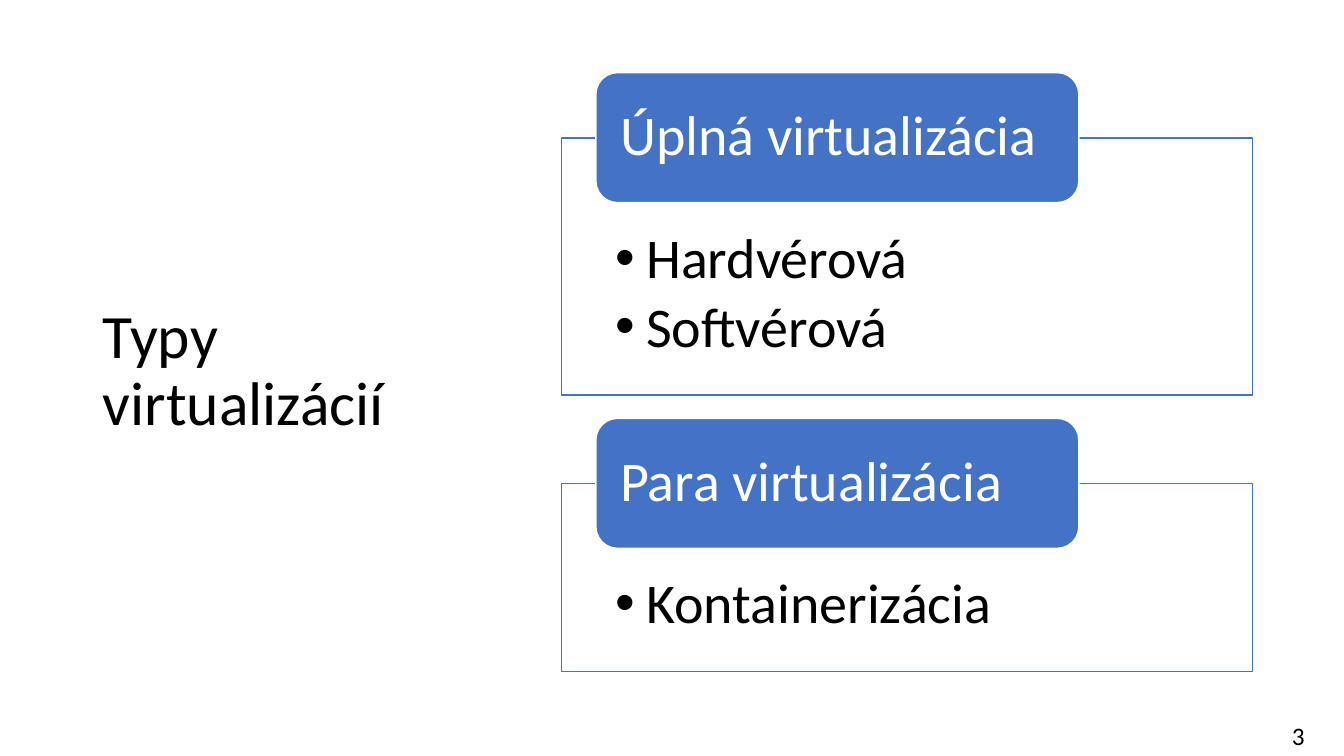
from lxml import etree
from pptx import Presentation
from pptx.dml.color import RGBColor
from pptx.enum.shapes import MSO_SHAPE
from pptx.enum.text import MSO_ANCHOR, MSO_AUTO_SIZE, PP_ALIGN
from pptx.oxml.ns import qn
from pptx.util import Pt

PX = 9144  # EMU, 100 px to the inch
RECT, ROUND = MSO_SHAPE.RECTANGLE, MSO_SHAPE.ROUNDED_RECTANGLE
TOP, MIDDLE = MSO_ANCHOR.TOP, MSO_ANCHOR.MIDDLE
LEFT, CENTER = PP_ALIGN.LEFT, PP_ALIGN.CENTER
NO_FIT = MSO_AUTO_SIZE.NONE
BLUE, WHITE, BLACK = "4472C4", "FFFFFF", "000000"
TITLE_ONLY = 5

# Top and height of each frame, its heading and its points
TYPES = [
    (137, 255, "Úplná virtualizácia", ["Hardvérová", "Softvérová"]),
    (480, 186, "Para virtualizácia", ["Kontainerizácia"]),
]


def color(code):
    return RGBColor.from_string(code)


def box(*sides):
    return [side * PX for side in sides]


def style(para, size, code, align=LEFT, spacing=0.9):
    para.alignment = align
    para.line_spacing = spacing
    font = para.font
    font.name, font.size = "Calibri", Pt(size)
    font.color.rgb = color(code)


def set_frame(frame, anchor, insets):
    frame.word_wrap = True
    frame.auto_size = NO_FIT
    frame.vertical_anchor = anchor
    (frame.margin_left, frame.margin_top,
     frame.margin_right, frame.margin_bottom) = box(*insets)


def add_bullet(para, indent):
    props = para._p.get_or_add_pPr()
    props.set("marL", str(indent * PX))
    props.set("indent", str(-indent * PX))
    font = etree.SubElement(props, qn("a:buFont"))
    font.set("typeface", "Arial")
    etree.SubElement(props, qn("a:buChar")).set("char", "•")


def add_panel(slide, kind, place, fill, line):
    panel = slide.shapes.add_shape(kind, *box(*place))
    panel.shadow.inherit = False
    panel.fill.solid()
    panel.fill.fore_color.rgb = color(fill)
    panel.line.color.rgb = color(line)
    panel.line.width = Pt(1)
    return panel


def fade(shape, percent):
    """Set the opacity of a solid fill."""
    tint = shape.fill._xPr.find(qn("a:solidFill"))[0]
    etree.SubElement(tint, qn("a:alpha")).set("val", str(percent * 1000))


def add_type(slide, top, height, heading, points):
    """Draw a framed list with a heading across its top edge."""
    body = add_panel(slide, RECT, (557, top, 685, height), WHITE, BLUE)
    fade(body, 90)
    frame = body.text_frame
    set_frame(frame, TOP, (53, 91, 53, 31))
    frame.text = "\n".join(points)
    for para in frame.paragraphs:
        para.level = 1
        add_bullet(para, 31)
        style(para, 40, BLACK)
        para.space_after = Pt(6)

    head = add_panel(slide, ROUND, (591, top - 65, 479, 129), BLUE, WHITE)
    frame = head.text_frame
    set_frame(frame, MIDDLE, (18, 0, 18, 0))
    frame.text = heading
    style(frame.paragraphs[0], 40, WHITE)


def set_title(slide, text):
    title = slide.shapes.title
    title.left, title.top, title.width, title.height = box(92, 68, 369, 602)
    frame = title.text_frame
    set_frame(frame, MIDDLE, (10, 5, 10, 5))
    frame.text = text
    style(frame.paragraphs[0], 44, BLACK)


def add_number(slide, text):
    note = slide.shapes.add_textbox(*box(1242, 710, 91, 40))
    frame = note.text_frame
    set_frame(frame, TOP, (10, 5, 10, 5))
    frame.text = text
    style(frame.paragraphs[0], 18, BLACK, CENTER, 1.0)


def main():
    deck = Presentation()
    deck.slide_width, deck.slide_height = box(1333, 750)
    slide = deck.slides.add_slide(deck.slide_layouts[TITLE_ONLY])
    set_title(slide, "Typy virtualizácií")
    for item in TYPES:
        add_type(slide, *item)
    add_number(slide, "3")
    deck.save("out.pptx")


if __name__ == "__main__":
    main()
